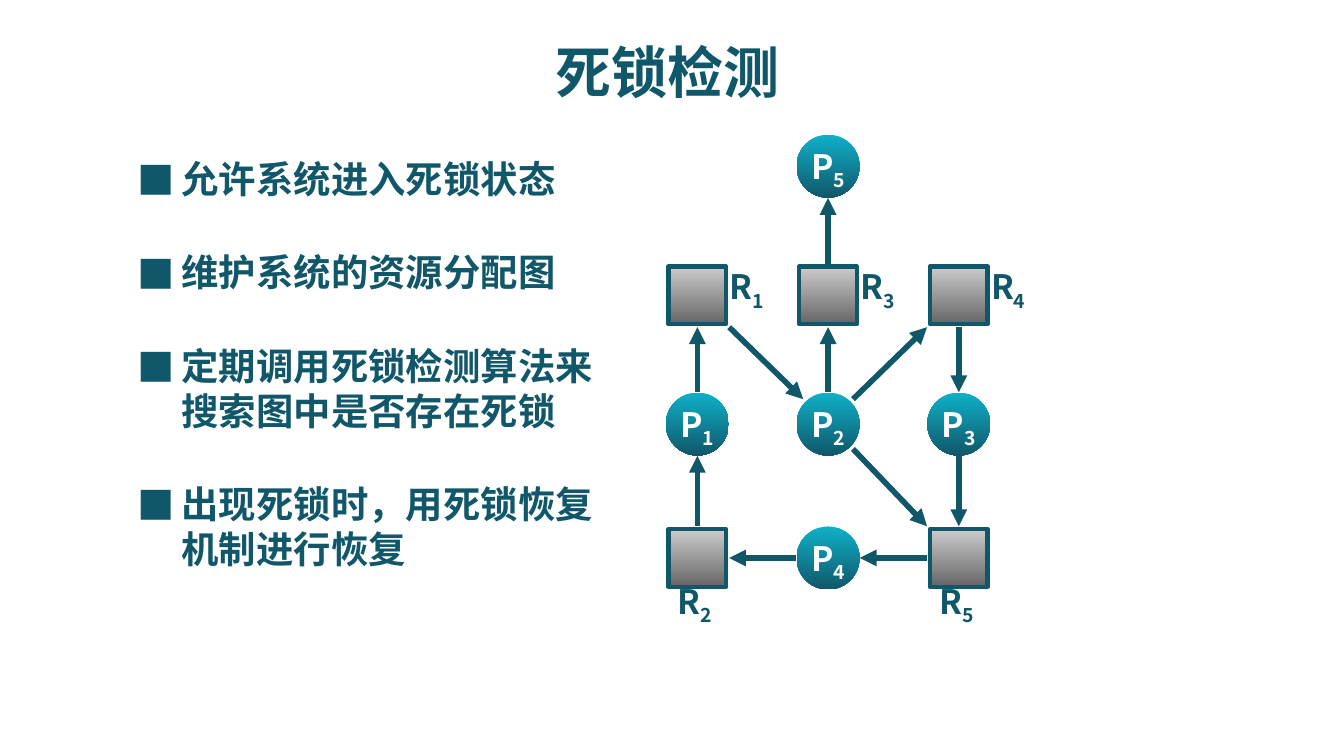
"""Build the deadlock detection slide with its resource allocation graph."""
import pptx
import pptx.dml.color
import pptx.enum.dml
import pptx.enum.shapes
import pptx.enum.text
import pptx.oxml.ns
import pptx.util
from lxml import etree

Cm, Pt, qn = pptx.util.Cm, pptx.util.Pt, pptx.oxml.ns.qn
ALIGN, ANCHOR = pptx.enum.text.PP_ALIGN, pptx.enum.text.MSO_ANCHOR
SHAPE = pptx.enum.shapes.MSO_SHAPE
TEAL, WHITE = "11576A", "FFFFFF"
FONT = "Noto Sans CJK SC"


def rgb(value):
    return pptx.dml.color.RGBColor.from_string(value)


def write(shape, text, size=18, color=TEAL, align=ALIGN.LEFT, anchor=ANCHOR.TOP,
          wrap=True, inset_top=0, subscript=""):
    frame = shape.text_frame
    frame.auto_size = pptx.enum.text.MSO_AUTO_SIZE.NONE
    frame.word_wrap = wrap
    frame.vertical_anchor = anchor
    frame.margin_left = frame.margin_right = frame.margin_bottom = 0
    frame.margin_top = Cm(inset_top)
    frame.text = text
    if subscript:
        lowered = frame.paragraphs[0].add_run()
        lowered.text = subscript
        lowered.font._element.set("baseline", "-25000")
    for paragraph in frame.paragraphs:
        paragraph.alignment = align
        paragraph.space_before = Pt(0)
        for run in paragraph.runs:
            run.font.size, run.font.bold, run.font.name = Pt(size), True, FONT
            run.font.color.rgb = rgb(color)
            etree.SubElement(run.font._element, qn("a:ea")).set("typeface", FONT)


deck = pptx.Presentation()
deck.slide_width, deck.slide_height = Cm(25.4), Cm(14.28)
slide = deck.slides.add_slide(deck.slide_layouts[1])
title, points = slide.placeholders

title.left, title.top, title.width, title.height = Cm(1.19), Cm(0.56), Cm(22.86), Cm(1.57)
write(title, "死锁检测", size=30, align=ALIGN.CENTER, anchor=ANCHOR.MIDDLE)

points.left, points.top, points.width, points.height = Cm(2.59), Cm(2.95), Cm(8.87), Cm(8.8)
write(points, "\n".join([
    "允许系统进入死锁状态",
    "维护系统的资源分配图",
    "定期调用死锁检测算法来搜索图中是否存在死锁",
    "出现死锁时，用死锁恢复机制进行恢复",
]), size=20)
for point in points.text_frame.paragraphs:
    point.line_spacing, point.space_after = Pt(24), Pt(26)
    properties = point._p.get_or_add_pPr()
    properties.set("marL", str(Cm(0.84)))
    properties.set("indent", str(Cm(-0.84)))
    etree.SubElement(properties, qn("a:buFont")).set("typeface", "Noto Sans CJK JP")
    etree.SubElement(properties, qn("a:buChar")).set("char", "■")

columns = [13.18, 15.65, 18.12]
rows = [3.14, 5.58, 8.01, 10.54]
nodes = {
    "P1": (0, 2), "P2": (1, 2), "P3": (2, 2), "P4": (1, 3), "P5": (1, 0),
    "R1": (0, 1), "R2": (0, 3), "R3": (1, 1), "R4": (2, 1), "R5": (2, 3),
}
centres = {node: (columns[column], rows[row]) for node, (column, row) in nodes.items()}
looks = {
    "P": (SHAPE.OVAL, 1.19, ("0EB1C8", TEAL)),
    "R": (SHAPE.RECTANGLE, 1.09, ("CCCCCC", "666666")),
}

for node, (x, y) in centres.items():
    kind, number = node
    outline, size, shades = looks[kind]
    marker = slide.shapes.add_shape(
        outline, Cm(x - size / 2), Cm(y - size / 2), Cm(size), Cm(size))
    marker.shadow.inherit = False
    marker.fill.gradient()
    marker.fill.gradient_angle = 270
    for stop, shade in zip(marker.fill.gradient_stops, shades):
        stop.color.rgb = rgb(shade)
    if kind == "P":
        marker.line.fill.background()
        write(marker, kind, color=WHITE, align=ALIGN.CENTER, anchor=ANCHOR.MIDDLE,
              wrap=False, inset_top=0.1, subscript=number)
    else:
        marker.line.color.rgb, marker.line.width = rgb(TEAL), Pt(2.25)
        below = nodes[node][1] == 3
        dx, dy = (-0.37, 0.43) if below else (0.61, -0.55)
        label = slide.shapes.add_textbox(Cm(x + dx), Cm(y + dy), Cm(0.8), Cm(1))
        write(label, kind, wrap=False, subscript=number)

requests_and_grants = [
    ("R2", "P1"), ("P1", "R1"), ("R1", "P2"), ("P2", "R3"), ("R3", "P5"), ("P2", "R4"),
    ("P2", "R5"), ("R4", "P3"), ("P3", "R5"), ("R5", "P4"), ("P4", "R2"),
]
for source, target in requests_and_grants:
    (x1, y1), (x2, y2) = centres[source], centres[target]
    across, down = (x2 > x1) - (x2 < x1), (y2 > y1) - (y2 < y1)
    leave, arrive = [0.47 if across and down and node[0] == "P" else 0.6
                     for node in (source, target)]
    arrow = slide.shapes.add_connector(
        pptx.enum.shapes.MSO_CONNECTOR.STRAIGHT,
        Cm(x1 + across * leave), Cm(y1 + down * leave),
        Cm(x2 - across * arrive), Cm(y2 - down * arrive))
    arrow.line.color.rgb, arrow.line.width = rgb(TEAL), Pt(3)
    etree.SubElement(arrow.line._get_or_add_ln(), qn("a:tailEnd")).set("type", "triangle")
    etree.SubElement(arrow._element.spPr, qn("a:effectLst"))

deck.save("out.pptx")
